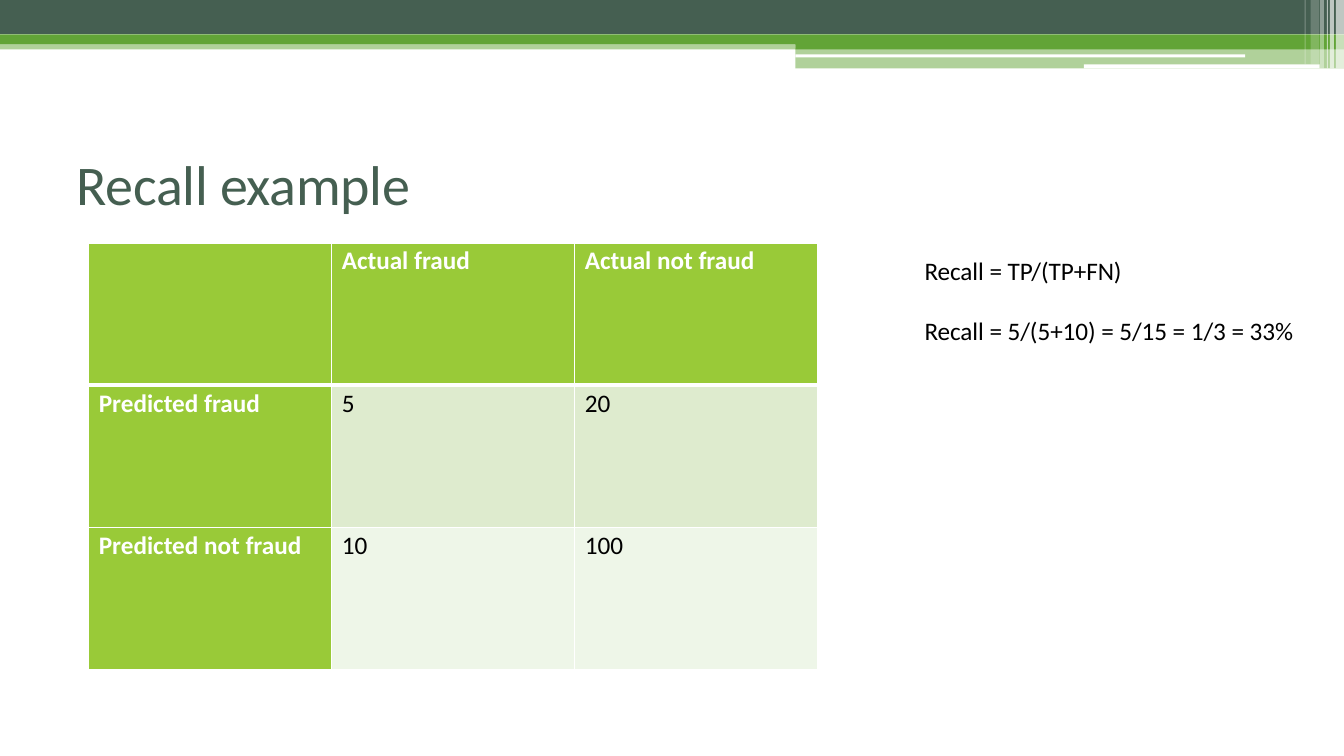
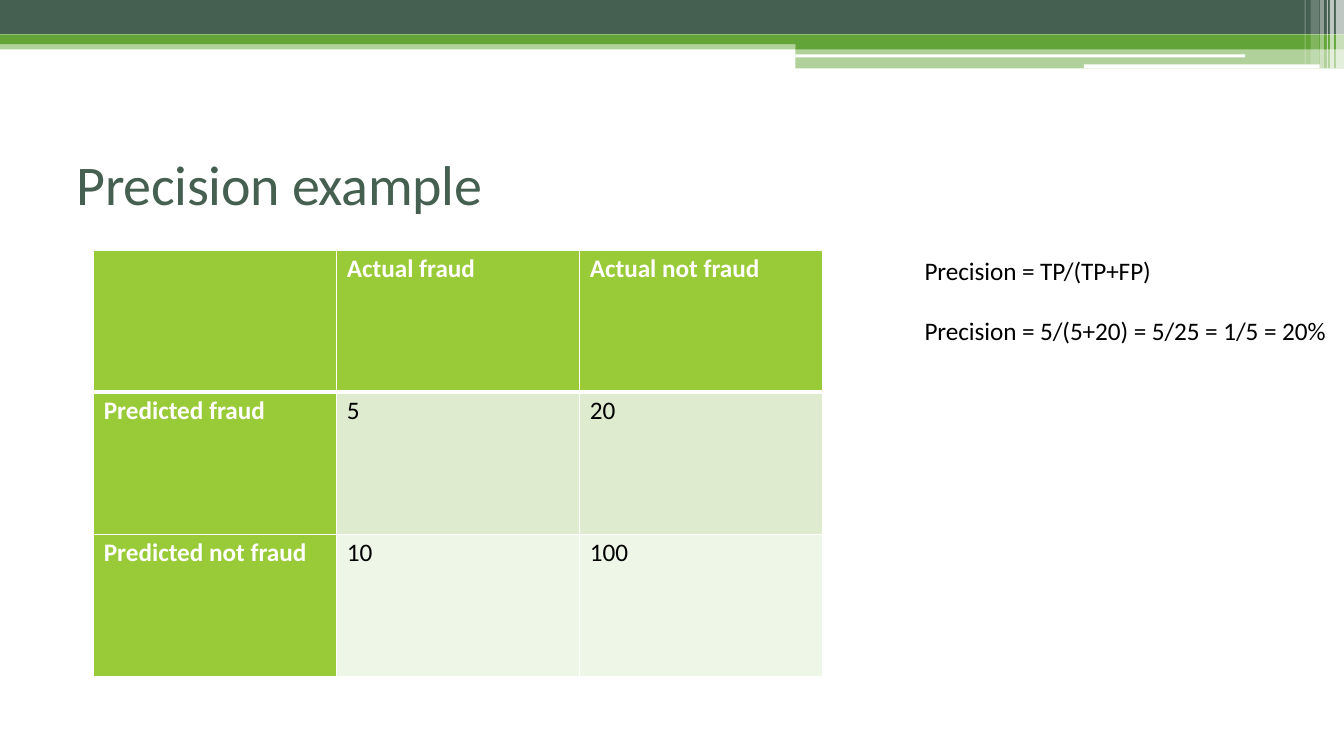
from pptx import Presentation
from pptx.dml.color import RGBColor
from pptx.enum.shapes import MSO_SHAPE
from pptx.enum.text import MSO_ANCHOR
from pptx.oxml.ns import qn
from pptx.util import Inches, Pt
from lxml.etree import SubElement

DARK = RGBColor(0x45, 0x5F, 0x51)
GREEN = RGBColor(0x62, 0xA4, 0x37)
LIME = RGBColor(0x99, 0xCA, 0x38)
ROW_TINTS = (RGBColor(0xDE, 0xEB, 0xCE), RGBColor(0xEE, 0xF6, 0xE8))
WHITE = RGBColor(0xFF, 0xFF, 0xFF)
BLACK = RGBColor(0x00, 0x00, 0x00)
FONT = "Calibri"

WIDTH, HEIGHT = 13.33, 7.5
STEP = 7.89  # where the header band steps down
COLUMN, ROW = 2.41, 1.41

# Rectangles of the header: left, top, right, bottom, colour, opacity in percent
BASE_BANDS = [
    (0, 0.44, STEP, 0.49, GREEN, 50),
    (0, 0, WIDTH, 0.34, DARK, 100),
]
TOP_BANDS = [
    (STEP, 0.48, WIDTH, 0.68, GREEN, 50),
    (STEP, 0.54, 12.35, 0.57, WHITE, 100),
    (10.75, 0.64, 13.09, 0.68, WHITE, 100),
    (13.19, 0, 13.23, 0.68, WHITE, 65),
    (13.25, 0, WIDTH, 0.68, WHITE, 65),
    (13.16, 0, 13.17, 0.68, WHITE, 60),
    (13.09, 0, 13.13, 0.68, WHITE, 40),
    (13, 0, 13.08, 0.64, WHITE, 20),
    (12.94, 0, 12.95, 0.64, WHITE, 30),
]
GREEN_STEP = [(0, 0.34), (WIDTH, 0.34), (WIDTH, 0.49), (STEP, 0.49), (STEP, 0.44), (0, 0.44)]

MATRIX = [
    ("", "Actual fraud", "Actual not fraud"),
    ("Predicted fraud", "5", "20"),
    ("Predicted not fraud", "10", "100"),
]
EXAMPLES = [
    ("Recall example", (0.88, 2.41),
     ["Recall = TP/(TP+FN)", "Recall = 5/(5+10) = 5/15 = 1/3 = 33%"]),
    ("Precision example", (0.93, 2.48),
     ["Precision = TP/(TP+FP)", "Precision = 5/(5+20) = 5/25 = 1/5 = 20%"]),
]


def write(frame, *lines, size=18, color=BLACK, bold=False, spacing=0, gap=0):
    """Fill a text frame with one paragraph per line."""
    for index, line in enumerate(lines):
        para = frame.paragraphs[0] if index == 0 else frame.add_paragraph()
        if index:
            para.space_before = Pt(gap)
        span = para.add_run()
        span.text = line
        span.font.name, span.font.size = FONT, Pt(size)
        span.font.bold, span.font.color.rgb = bold, color
        if spacing:
            span._r.get_or_add_rPr().set("spc", str(round(spacing * 100)))


def draw_borders(cell, **widths):
    """Draw white cell borders; widths are points keyed by side."""
    properties = cell._tc.get_or_add_tcPr()
    for side in ("L", "R", "T", "B"):
        line = SubElement(properties, qn(f"a:ln{side}"), w=str(Pt(widths.get(side, 1))))
        SubElement(SubElement(line, qn("a:solidFill")), qn("a:srgbClr"), val=str(WHITE))


class SlideBuilder:
    def __init__(self):
        self.deck = Presentation()
        self.deck.slide_width, self.deck.slide_height = Inches(WIDTH), Inches(HEIGHT)
        self.page = None

    def new_page(self, title):
        self.page = self.deck.slides.add_slide(self.deck.slide_layouts[6])
        self.header()
        self.text(0.76, 1.46, 8, 0.69, title, size=40, color=DARK, spacing=-0.2)

    def paint(self, shape, color, opacity=100):
        shape.shadow.inherit = False
        shape.line.fill.background()
        shape.fill.solid()
        shape.fill.fore_color.rgb = color
        if opacity < 100:
            tint = shape._element.spPr.find(f".//{qn('a:srgbClr')}")
            SubElement(tint, qn("a:alpha"), val=str(opacity * 1000))

    def band(self, left, top, right, bottom, color, opacity):
        shape = self.page.shapes.add_shape(
            MSO_SHAPE.RECTANGLE, Inches(left), Inches(top),
            Inches(right - left), Inches(bottom - top))
        self.paint(shape, color, opacity)

    def outline(self, corners, color):
        points = [(Inches(x), Inches(y)) for x, y in corners]
        builder = self.page.shapes.build_freeform(*points[0], scale=1.0)
        builder.add_line_segments(points[1:], close=True)
        self.paint(builder.convert_to_shape(), color)

    def header(self):
        for band in BASE_BANDS:
            self.band(*band)
        self.outline(GREEN_STEP, GREEN)
        for band in TOP_BANDS:
            self.band(*band)

    def text(self, left, top, width, height, *lines, **style):
        box = self.page.shapes.add_textbox(
            Inches(left), Inches(top), Inches(width), Inches(height))
        frame = box.text_frame
        frame.word_wrap = True
        frame.margin_left = frame.margin_right = frame.margin_bottom = 0
        frame.margin_top = Inches(0.02)
        write(frame, *lines, **style)

    def matrix(self, left, top, rows):
        count = len(rows[0])
        table = self.page.shapes.add_table(
            len(rows), count, Inches(left), Inches(top),
            Inches(COLUMN * count), Inches(ROW * len(rows))).table
        table.horz_banding = False
        for column in table.columns:
            column.width = Inches(COLUMN)
        for row_index, values in enumerate(rows):
            table.rows[row_index].height = Inches(ROW)
            for column_index, value in enumerate(values):
                cell = table.cell(row_index, column_index)
                heading = row_index == 0 or column_index == 0
                # The rule below the heading row is thicker
                draw_borders(cell, T=3 if row_index == 1 else 1, B=3 if row_index == 0 else 1)
                cell.fill.solid()
                cell.fill.fore_color.rgb = LIME if heading else ROW_TINTS[row_index - 1]
                cell.vertical_anchor = MSO_ANCHOR.TOP
                cell.margin_left, cell.margin_top = Inches(0.1), Inches(0.03)
                cell.margin_right = cell.margin_bottom = 0
                if value:
                    write(cell.text_frame, value, bold=heading,
                          color=WHITE if heading else BLACK)


def main():
    builder = SlideBuilder()
    for title, corner, formulas in EXAMPLES:
        builder.new_page(title)
        builder.matrix(*corner, MATRIX)
        builder.text(9.17, 2.51, 4.1, 0.93, *formulas, spacing=-0.05, gap=21.5)
    builder.deck.save("out.pptx")


if __name__ == "__main__":
    main()
